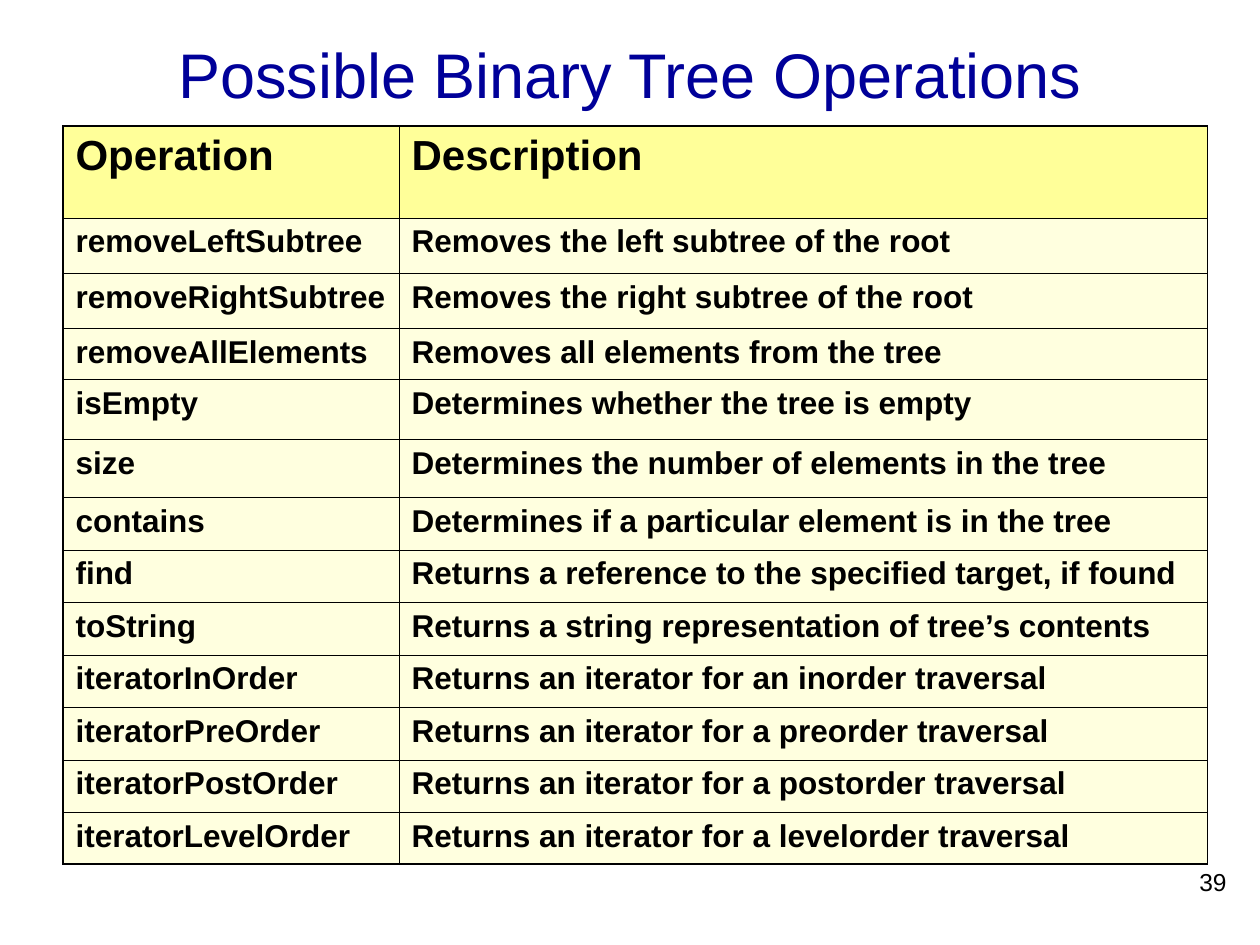
from pptx import Presentation
from pptx.dml.color import RGBColor
from pptx.enum.text import MSO_ANCHOR as Anchor, MSO_AUTO_SIZE as AutoSize, PP_ALIGN as Align
from pptx.oxml import parse_xml
from pptx.oxml.ns import nsdecls
from pptx.util import Pt

BLACK = RGBColor(0x00, 0x00, 0x00)
NAVY = RGBColor(0x00, 0x00, 0x99)
HEADER_YELLOW = RGBColor(0xFF, 0xFF, 0x99)
BODY_YELLOW = RGBColor(0xFF, 0xFF, 0xDF)
THIN, THICK = Pt(0.45), Pt(1.08)

TITLE_FONT = {"name": "Arial", "size": Pt(36), "bold": False}
HEADER_FONT = {"name": "Arial", "size": Pt(24), "bold": True}
BODY_FONT = {"name": "Arial", "size": Pt(18), "bold": True}
NUMBER_FONT = {"name": "Arial", "size": Pt(14), "bold": False}

OPERATIONS = [
    ("Operation", "Description", 52.5),
    ("removeLeftSubtree", "Removes the left subtree of the root", 31.7),
    ("removeRightSubtree", "Removes the right subtree of the root", 31.7),
    ("removeAllElements", "Removes all elements from the tree", 29),
    ("isEmpty", "Determines whether the tree is empty", 34.4),
    ("size", "Determines the number of elements in the tree", 33),
    ("contains", "Determines if a particular element is in the tree", 30),
    ("find", "Returns a reference to the specified target, if found", 30),
    ("toString", "Returns a string representation of tree’s contents", 30),
    ("iteratorInOrder", "Returns an iterator for an inorder traversal", 30),
    ("iteratorPreOrder", "Returns an iterator for a preorder traversal", 30),
    ("iteratorPostOrder", "Returns an iterator for a postorder traversal", 30),
    ("iteratorLevelOrder", "Returns an iterator for a levelorder traversal", 29.5),
]
COLUMN_WIDTHS = [192, 462]


def write_text(text_frame, text, font_values, color, alignment):
    text_frame.text = text
    paragraph = text_frame.paragraphs[0]
    paragraph.alignment = alignment
    font = paragraph.runs[0].font
    for name, value in font_values.items():
        setattr(font, name, value)
    font.color.rgb = color


def add_border(cell, side, width):
    cell.fill.background()
    properties = cell._tc.get_or_add_tcPr()
    properties.insert(len(properties) - 1, parse_xml(
        f'<a:ln{side} {nsdecls("a")} w="{width}"><a:solidFill>'
        f'<a:srgbClr val="{BLACK}"/></a:solidFill></a:ln{side}>'))


presentation = Presentation()
presentation.slide_width = Pt(720)
presentation.slide_height = Pt(540)
slide = presentation.slides.add_slide(presentation.slide_layouts[5])

title = slide.shapes.title
title.left, title.top, title.width, title.height = Pt(54), Pt(12), Pt(612), Pt(60)
write_text(title.text_frame, "Possible Binary Tree Operations", TITLE_FONT, NAVY, Align.CENTER)
title.text_frame.vertical_anchor = Anchor.MIDDLE
title.text_frame.auto_size = AutoSize.NONE

last_row = len(OPERATIONS) - 1
last_column = len(COLUMN_WIDTHS) - 1
table_height = sum(height for _, _, height in OPERATIONS)
table = slide.shapes.add_table(
    len(OPERATIONS), len(COLUMN_WIDTHS),
    Pt(36), Pt(72), Pt(sum(COLUMN_WIDTHS)), Pt(table_height)).table
table.horz_banding = False
for column, width in zip(table.columns, COLUMN_WIDTHS):
    column.width = Pt(width)

for row_index, (operation, description, height) in enumerate(OPERATIONS):
    table.rows[row_index].height = Pt(height)
    is_header = row_index == 0
    for column_index, text in enumerate((operation, description)):
        cell = table.cell(row_index, column_index)
        font_values = HEADER_FONT if is_header else BODY_FONT
        write_text(cell.text_frame, text, font_values, BLACK, Align.LEFT)
        outer_sides = {
            "L": column_index == 0,
            "R": column_index == last_column,
            "T": is_header,
            "B": row_index == last_row,
        }
        for side, is_outer in outer_sides.items():
            add_border(cell, side, THICK if is_outer else THIN)
        cell.fill.solid()
        cell.fill.fore_color.rgb = HEADER_YELLOW if is_header else BODY_YELLOW

number_box = slide.shapes.add_textbox(Pt(558), Pt(492), Pt(150), Pt(36))
number_box.text_frame.word_wrap = True
write_text(number_box.text_frame, "39", NUMBER_FONT, BLACK, Align.RIGHT)

presentation.save("out.pptx")
